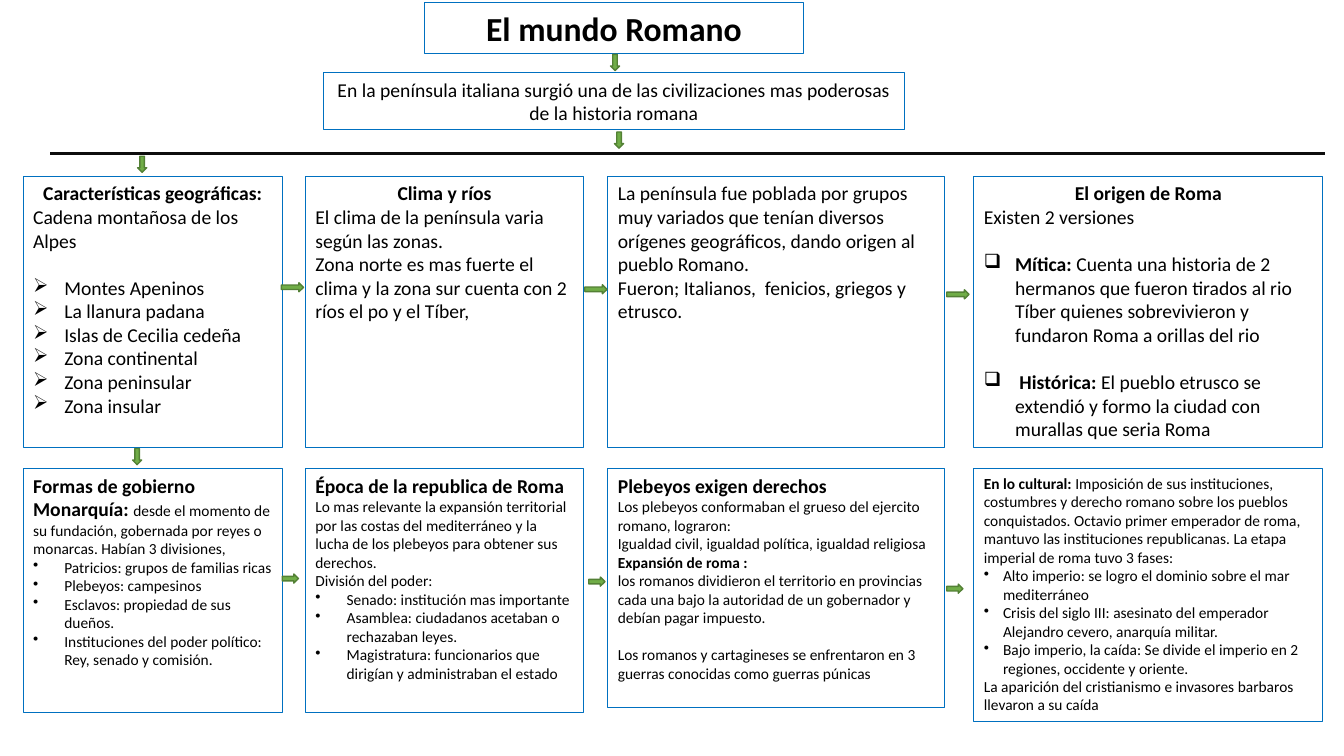
from dataclasses import dataclass

from lxml import etree
from pptx import Presentation
from pptx.dml import color
from pptx.enum import shapes, text
from pptx.oxml import ns
from pptx.util import Inches, Pt

FONT = "Calibri"
COLUMNS = [(0, 2.57), (2.8, 2.76), (5.8, 3.34), (9.43, 3.46)]


@dataclass
class Line:
    """One paragraph: an optional bold lead followed by a plain body."""
    lead: str = ""
    body: str = ""
    size: int = 14
    lead_size: int = 0
    centered: bool = False
    bullet: str = ""
    indent: float = 0.31
    gap: float = 0


def heading(words):
    """Return a bold centred line."""
    return Line(words, centered=True)


def small(words, **options):
    """Return a plain line in the small size."""
    return Line(body=words, size=11, **options)


def bullets(mark, size, indent, items):
    """Return one bulleted line for each item."""
    return [Line(body=item, size=size, bullet=mark, indent=indent) for item in items]


GEOGRAPHY = [
    heading("Características geográficas:"),
    Line(body="Cadena montañosa de los Alpes", gap=17),
    *bullets("➢", 14, 0.31, ["Montes Apeninos", "La llanura padana", "Islas de Cecilia cedeña",
                             "Zona continental", "Zona peninsular", "Zona insular"]),
]
CLIMATE = [
    heading("Clima y ríos"),
    Line(body="El clima de la península varia según las zonas."),
    Line(body="Zona norte es mas fuerte el clima y la zona sur cuenta con 2 ríos el po y el Tíber,"),
]
PEOPLE = [
    Line(body="La península fue poblada por grupos muy variados que tenían diversos orígenes "
              "geográficos, dando origen al pueblo Romano."),
    Line(body="Fueron; Italianos,  fenicios, griegos y etrusco."),
]
ORIGIN = [
    heading("El origen de Roma"),
    Line(body="Existen 2 versiones", gap=17),
    Line("Mítica: ", "Cuenta una historia de 2 hermanos que fueron tirados al rio Tíber quienes "
         "sobrevivieron y fundaron Roma a orillas del rio", bullet="❑", gap=17),
    Line(" Histórica: ", "El pueblo etrusco se extendió y formo la ciudad con murallas que seria Roma",
         bullet="❑"),
]
GOVERNMENT = [
    Line("Formas de gobierno"),
    Line("Monarquía: ", "desde el momento de su fundación, gobernada por reyes o monarcas. "
         "Habían 3 divisiones,", size=11, lead_size=14),
    *bullets("•", 11, 0.31, ["Patricios: grupos de familias ricas", "Plebeyos: campesinos",
                             "Esclavos: propiedad de sus dueños.",
                             "Instituciones del poder político: Rey, senado y comisión."]),
]
REPUBLIC = [
    Line("Época de la republica de Roma"),
    small("Lo mas relevante la expansión territorial por las costas del mediterráneo y la lucha "
          "de los plebeyos para obtener sus derechos."),
    small("División del poder:"),
    *bullets("•", 11, 0.31, ["Senado: institución mas importante",
                             "Asamblea: ciudadanos acetaban o rechazaban leyes.",
                             "Magistratura: funcionarios que dirigían y administraban el estado"]),
]
RIGHTS = [
    Line("Plebeyos exigen derechos"),
    small("Los plebeyos conformaban el grueso del ejercito romano, lograron:"),
    small("Igualdad civil, igualdad política, igualdad religiosa"),
    Line("Expansión de roma :", size=11),
    small("los romanos dividieron el territorio en provincias cada una bajo la autoridad de un "
          "gobernador y debían pagar impuesto.", gap=13.4),
    small("Los romanos y cartagineses se enfrentaron en 3 guerras conocidas como guerras púnicas"),
]
CULTURE = [
    Line("En lo cultural: ", "Imposición de sus instituciones, costumbres y derecho romano sobre los "
         "pueblos conquistados. Octavio primer emperador de roma, mantuvo las instituciones "
         "republicanas. La etapa imperial de roma tuvo 3 fases:", size=11),
    *bullets("•", 11, 0.19, [
        "Alto imperio: se logro el dominio sobre el mar mediterráneo",
        "Crisis del siglo III: asesinato del emperador Alejandro cevero, anarquía militar.",
        "Bajo imperio, la caída: Se divide el imperio en 2 regiones, occidente y oriente."]),
    small("La aparición del cristianismo e invasores barbaros llevaron a su caída"),
]


def paint(target, value):
    """Set a fill or font colour from a hex string."""
    if hasattr(target, "solid"):
        target.solid()
        target = target.fore_color
    target.rgb = color.RGBColor.from_string(value)


def outline(shape, value, width):
    """Give a shape or connector a solid line."""
    paint(shape.line.fill, value)
    shape.line.width = Pt(width)


def write_line(para, line):
    """Write one line into a paragraph."""
    para.alignment = text.PP_ALIGN.CENTER if line.centered else text.PP_ALIGN.LEFT
    para.space_after = Pt(line.gap)
    if line.bullet:
        props = para._p.get_or_add_pPr()
        props.set("marL", str(Inches(line.indent)))
        props.set("indent", str(-Inches(line.indent)))
        etree.SubElement(props, ns.qn("a:buChar"), char=line.bullet)
    for words, size, bold in ((line.lead, line.lead_size or line.size, True),
                              (line.body, line.size, False)):
        if words:
            span = para.add_run()
            span.text = words
            span.font.name, span.font.size, span.font.bold = FONT, Pt(size), bold
            paint(span.font.color, "000000")


def text_card(page, box, lines):
    """Draw a blue-edged text box filled with lines."""
    card = page.shapes.add_textbox(*map(Inches, box))
    outline(card, "0070C0", 0.75)
    frame = card.text_frame
    frame.word_wrap = True
    for index, line in enumerate(lines):
        write_line(frame.add_paragraph() if index else frame.paragraphs[0], line)


def arrow(page, center_x, center_y, length=0.16, rotation=0):
    """Draw a small green arrow around a centre point."""
    width = 0.09
    shape = page.shapes.add_shape(
        shapes.MSO_SHAPE.DOWN_ARROW, Inches(center_x - width / 2), Inches(center_y - length / 2),
        Inches(width), Inches(length))
    shape.rotation = rotation
    shape.shadow.inherit = False
    paint(shape.fill, "70AD47")
    outline(shape, "538035", 1)


def header(page, box):
    """Draw the title, the introduction and the dividing rule."""
    left, top, width, height = box
    text_card(page, (left + 3.71, top, 3.76, 0.5), [Line("El mundo Romano", size=24, centered=True)])
    text_card(page, (left + 2.71, top + 0.69, 5.76, 0.57), [
        Line(body="En la península italiana surgió una de las civilizaciones mas poderosas "
                  "de la historia romana", centered=True)])
    bottom = Inches(top + height)
    rule = page.shapes.add_connector(shapes.MSO_CONNECTOR.STRAIGHT, Inches(left), bottom,
                                     Inches(left + width), bottom)
    outline(rule, "0D0D0D", 2.25)
    etree.SubElement(rule._element.spPr, ns.qn("a:effectLst"))
    arrow(page, left + 5.6, top + 0.59)
    arrow(page, left + 5.64, top + 1.36)


def topic_row(page, box, cards, heights, entry, links, length):
    """Draw four cards, the arrow into the first and the arrows between them."""
    left, top = box
    for (offset, width), lines, height in zip(COLUMNS, cards, heights):
        text_card(page, (left + offset, top, width, height), lines)
    arrow(page, left + entry, top - 0.12)
    for across, down in links:
        arrow(page, left + across, top + down, length, 270)


def main():
    """Build and save the slide."""
    deck = Presentation()
    deck.slide_width, deck.slide_height = Inches(13.33), Inches(7.5)
    page = deck.slides.add_slide(deck.slide_layouts[6])
    header(page, (0.5, 0.03, 12.64, 1.49))
    topic_row(page, (0.23, 1.75), [GEOGRAPHY, CLIMATE, PEOPLE, ORIGIN], [2.69] * 4,
              1.18, [(2.67, 1.1), (5.68, 1.12), (9.27, 1.17)], 0.22)
    topic_row(page, (0.23, 4.65), [GOVERNMENT, REPUBLIC, RIGHTS, CULTURE], [2.42, 2.42, 2.37, 2.51],
              1.13, [(2.65, 1.09), (5.69, 1.12), (9.24, 1.19)], 0.16)
    deck.save("out.pptx")


if __name__ == "__main__":
    main()
